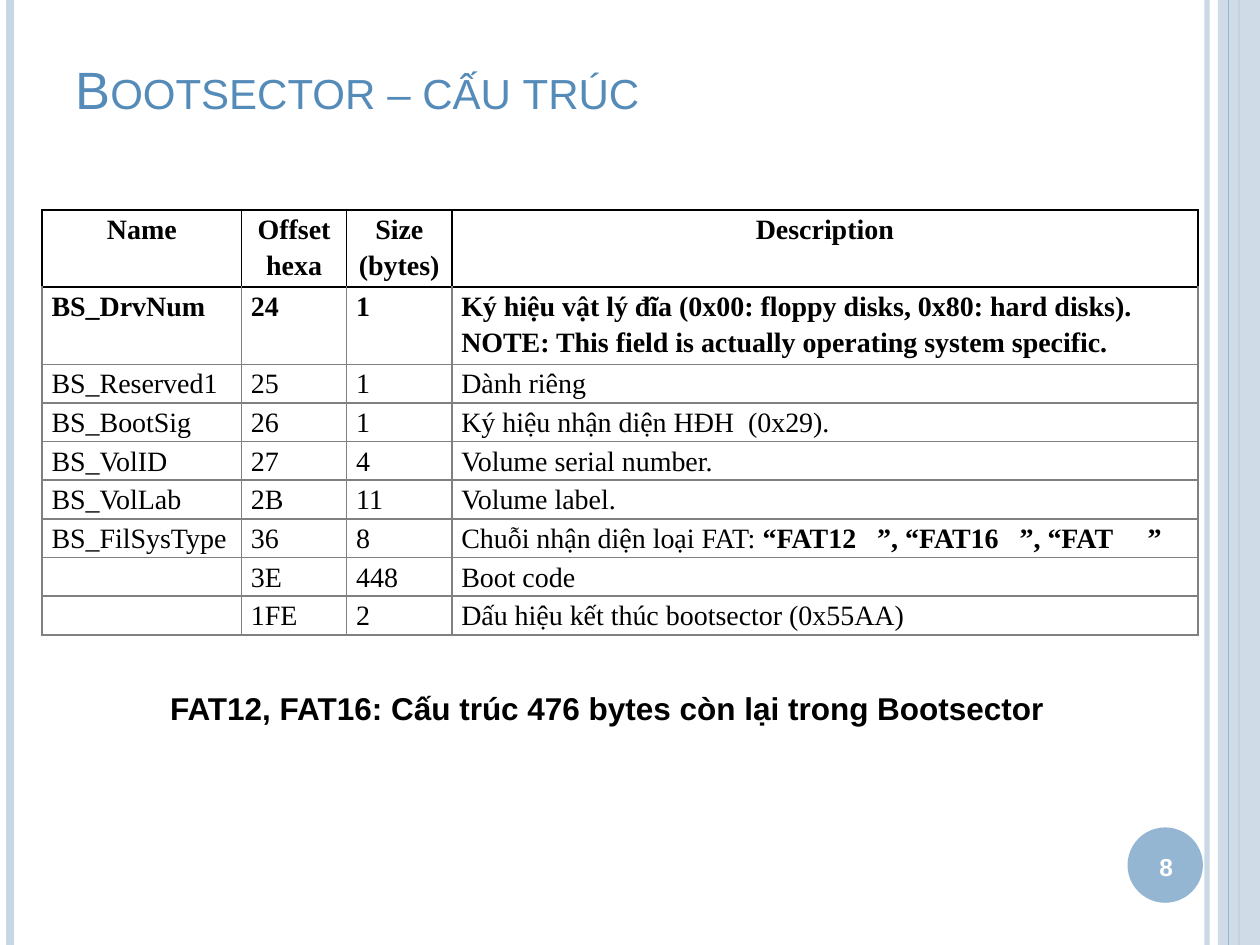
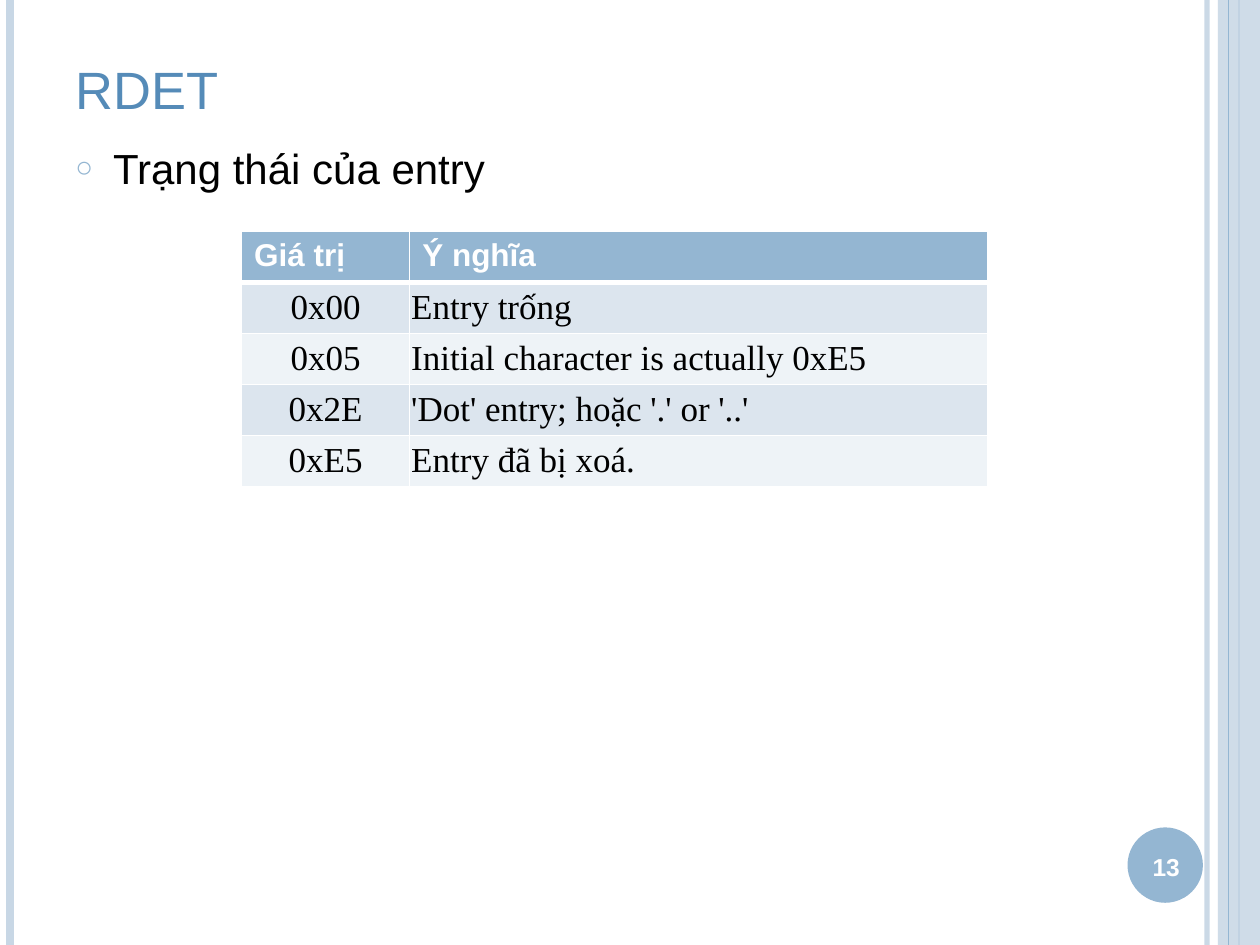
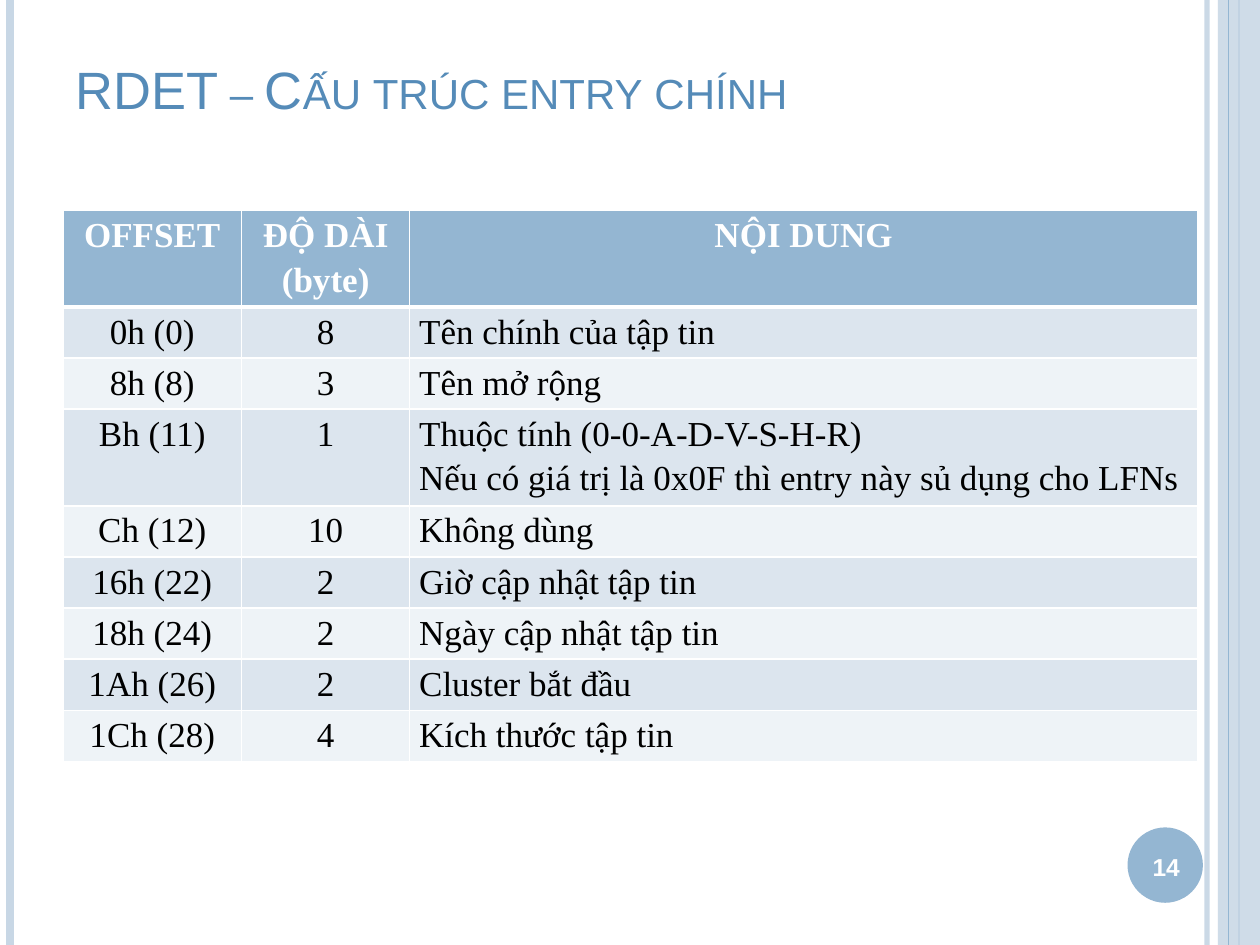
from lxml.etree import SubElement
from pptx import Presentation
from pptx.dml.color import RGBColor
from pptx.enum.shapes import MSO_CONNECTOR, MSO_SHAPE
from pptx.enum.text import MSO_ANCHOR, MSO_AUTO_SIZE, PP_ALIGN
from pptx.oxml import parse_xml
from pptx.oxml.ns import nsdecls, qn
from pptx.util import Cm, Pt

WIDE, HIGH = 25.4, 19.05
HUES = {
    "pale": "C8D7E5", "blue": "94B6D2", "title": "558BB8", "black": "000000",
    "white": "FFFFFF", "grey": "808080", "odd": "DCE5EE", "even": "EEF3F7",
}
LEFT, MID = PP_ALIGN.LEFT, PP_ALIGN.CENTER
SANS, SERIF = "Arial", "Times New Roman"
TIGHT = {"margin_left": Cm(0.19), "margin_right": Cm(0.19), "margin_top": 0, "margin_bottom": 0}
THIN = {"margin_left": Cm(0.03), "margin_right": Cm(0.03), "margin_top": Cm(0.03),
        "margin_bottom": Cm(0.03), "vertical_anchor": MSO_ANCHOR.MIDDLE}

BOOT = [
    ["Name", "Offset\nhexa", "Size (bytes)", "Description"],
    ["*BS_DrvNum*", "*24*", "*1*",
     "*Ký hiệu vật lý đĩa (0x00: floppy disks, 0x80: hard disks). \v"
     "NOTE: This field is actually operating system specific.*"],
    ["BS_Reserved1", "25", "1", "Dành riêng"],
    ["BS_BootSig", "26", "1", "Ký hiệu nhận diện HĐH  (0x29)."],
    ["BS_VolID", "27", "4", "Volume serial number."],
    ["BS_VolLab", "2B", "11", "Volume label."],
    ["BS_FilSysType", "36", "8",
     "Chuỗi nhận diện loại FAT: *“FAT12   ”, “FAT16   ”, “FAT     ”*"],
    ["", "3E", "448", "Boot code"],
    ["", "1FE", "2", "Dấu hiệu kết thúc bootsector (0x55AA)"],
]
STATE = [
    ["Giá trị", "Ý nghĩa"],
    ["0x00", "Entry trống"],
    ["0x05", "Initial character is actually 0xE5"],
    ["0x2E", "'Dot' entry; hoặc '.' or '..'"],
    ["0xE5", "Entry đã bị xoá."],
]
ENTRY = [
    ["OFFSET", "ĐỘ DÀI\n(byte)", "NỘI DUNG"],
    ["0h (0)", "8", "Tên chính của tập tin"],
    ["8h (8)", "3", "Tên mở rộng"],
    ["Bh (11)", "1", "Thuộc tính (0-0-A-D-V-S-H-R)\n"
     "Nếu có giá trị là 0x0F thì entry này sủ dụng cho LFNs"],
    ["Ch (12)", "10", "Không dùng"],
    ["16h (22)", "2", "Giờ cập nhật tập tin"],
    ["18h (24)", "2", "Ngày cập nhật tập tin"],
    ["1Ah (26)", "2", "Cluster bắt đầu"],
    ["1Ch (28)", "4", "Kích thước tập tin"],
]


def rgb(hue):
    return RGBColor.from_string(HUES[hue])


def put(thing, vals):
    for key, val in vals.items():
        setattr(thing, key, val)


def fade(fill, share):
    tint = fill._xPr.find(".//" + qn("a:srgbClr"))
    SubElement(tint, qn("a:alpha"), val=str(share * 1000))


def write(frame, text, font, hue, para):
    for num, line in enumerate(text.split("\n")):
        part = frame.add_paragraph() if num else frame.paragraphs[0]
        put(part, para)
        for spot, span in enumerate(line.split("*")):
            for turn, words in enumerate(span.split("\v")):
                if turn:
                    part.add_line_break()
                if words:
                    run = part.add_run()
                    run.text = words
                    put(run.font, font)
                    run.font.color.rgb = rgb(hue)
                    if spot % 2:
                        run.font.bold = True
        if not line:
            SubElement(part._p, qn("a:endParaRPr"), sz=str(int(font["size"].pt * 100)))


def label(slide, box, text, font, hue, para={}, form={}):
    frame = slide.shapes.add_textbox(*map(Cm, box)).text_frame
    put(frame, {"word_wrap": True, **form})
    write(frame, text, font, hue, para)
    return frame.paragraphs[0]


def stripe(slide, left, hue, width, share=100):
    line = slide.shapes.add_connector(MSO_CONNECTOR.STRAIGHT, Cm(left), 0, Cm(left), Cm(HIGH))
    line.line.width = Pt(width)
    line.line.fill.solid()
    line.line.color.rgb = rgb(hue)
    if share < 100:
        fade(line.line.fill, share)
    SubElement(line._element.spPr, qn("a:effectLst"))


def block(slide, kind, box, hue, share=100):
    form = slide.shapes.add_shape(kind, *map(Cm, box))
    form.shadow.inherit = False
    form.fill.solid()
    form.fill.fore_color.rgb = rgb(hue)
    form.line.fill.background()
    if share < 100:
        fade(form.fill, share)


def page(deck, title, num):
    slide = deck.slides.add_slide(deck.slide_layouts[6])
    stripe(slide, 24.33, "pale", 3, 93)
    stripe(slide, 0.21, "pale", 4.5)
    stripe(slide, 24.98, "blue", 1.5)
    block(slide, MSO_SHAPE.RECTANGLE, (24.55, 0, WIDE - 24.55, HIGH), "pale", 87)
    stripe(slide, 24.77, "blue", 0.75)
    block(slide, MSO_SHAPE.OVAL, (22.73, 16.68, 1.52, 1.52), "blue")
    head = label(slide, (1.27, 0.76, 21.39, 1.78), title, {"name": SANS, "size": Pt(30)},
                 "title", form={"vertical_anchor": MSO_ANCHOR.BOTTOM})
    head.runs[0].font._element.set("cap", "small")
    label(slide, (22.66, 16.74, 1.7, 1.45), str(num),
          {"name": SANS, "size": Pt(14), "bold": True}, "white",
          {"alignment": MID}, {"vertical_anchor": MSO_ANCHOR.MIDDLE})
    return slide


def bullet(slide, box, text):
    part = label(slide, box, text, {"name": SANS, "size": Pt(24)}, "black",
                 {"space_before": Pt(6)})
    props = part._p.get_or_add_pPr()
    put(props, {"marL": Cm(0.76), "indent": -Cm(0.76)}) if hasattr(props, "marL") else None
    props.set("marL", str(Cm(0.76)))
    props.set("indent", str(-Cm(0.76)))
    tint = SubElement(props, qn("a:buClr"))
    SubElement(tint, qn("a:srgbClr"), val=HUES["blue"])
    SubElement(props, qn("a:buSzPct"), val="70000")
    SubElement(props, qn("a:buFont"), typeface=SANS)
    SubElement(props, qn("a:buChar"), char="○")


def edge(cell, sides):
    props = cell._tc.get_or_add_tcPr()
    for num, side in enumerate("LRTB"):
        hue, width = sides.get(side, sides["all"])
        props.insert(num, parse_xml(
            f'<a:ln{side} {nsdecls("a")} w="{Pt(width)}"><a:solidFill>'
            f'<a:srgbClr val="{HUES[hue]}"/></a:solidFill></a:ln{side}>'))


def grid(slide, spot, cols, high, data, looks):
    left, top = map(Cm, spot)
    table = slide.shapes.add_table(len(data), len(cols), left, top,
                                   Cm(sum(cols)), Cm(high * len(data))).table
    put(table, {"first_row": False, "horz_banding": False})
    for col, width in zip(table.columns, cols):
        col.width = Cm(width)
    for num, texts in enumerate(data):
        table.rows[num].height = Cm(high)
        look = looks[min(num, len(looks) - 1)]
        for place, text in enumerate(texts):
            cell = table.cell(num, place)
            put(cell, look["cell"])
            if look["fills"]:
                cell.fill.solid()
                cell.fill.fore_color.rgb = rgb(look["fills"][num % len(look["fills"])])
            else:
                cell.fill.background()
            edge(cell, look["sides"])
            write(cell.text_frame, text, look["font"], look["hue"],
                  {**look["para"], "alignment": look["align"][place]})


def style(font, size, bold, hue, cell, align, sides, fills=(), lead=None):
    return {"font": {"name": font, "size": Pt(size), "bold": bold}, "hue": hue,
            "cell": cell, "align": align, "sides": sides, "fills": fills,
            "para": {"line_spacing": lead} if lead else {}}


def main():
    deck = Presentation()
    put(deck, {"slide_width": Cm(WIDE), "slide_height": Cm(HIGH)})
    dark, grey, white = ({"all": (hue, 1)} for hue in ("black", "grey", "white"))
    under = {**white, "B": ("white", 3)}
    bands = ("even", "odd")

    slide = page(deck, "Bootsector – cấu trúc", 8)
    grid(slide, (0.85, 4.23), (4.02, 2.12, 2.12, 15.04), 0.1, BOOT, [
        style(SERIF, 16, True, "black", TIGHT, [MID] * 4, dark, lead=1.15),
        style(SERIF, 16, False, "black", TIGHT, [LEFT] * 4,
              {**grey, "T": ("black", 1)}, lead=1.15),
        style(SERIF, 16, False, "black", TIGHT, [LEFT] * 4, grey, lead=1.15)])
    label(slide, (3.18, 13.77, 18.29, 1.02),
          "FAT12, FAT16: Cấu trúc 476 bytes còn lại trong Bootsector",
          {"name": SANS, "size": Pt(18), "bold": True}, "black",
          form={"word_wrap": False, "auto_size": MSO_AUTO_SIZE.SHAPE_TO_FIT_TEXT})

    slide = page(deck, "RDET", 13)
    bullet(slide, (1.27, 2.75, 21.39, 15.24), "Trạng thái của entry")
    grid(slide, (4.87, 4.66), (3.39, 11.65), 1.03, STATE, [
        style(SANS, 18, True, "white", {}, [LEFT] * 2, under, ["blue"]),
        style(SERIF, 20, False, "black", THIN, [MID, LEFT], {**white, "T": ("white", 3)}, bands),
        style(SERIF, 20, False, "black", THIN, [MID, LEFT], white, bands)])

    slide = page(deck, "RDET – Cấu trúc entry chính", 14)
    grid(slide, (1.27, 4.24), (3.6, 3.39, 15.88), 1.03, ENTRY, [
        style(SERIF, 20, True, "white", TIGHT, [MID] * 3, under, ["blue"], 1.15),
        style(SERIF, 20, False, "black", TIGHT, [MID, MID, LEFT],
              {**white, "T": ("white", 3)}, bands, 1.15),
        style(SERIF, 20, False, "black", TIGHT, [MID, MID, LEFT], white, bands, 1.15)])

    deck.save("out.pptx")


if __name__ == "__main__":
    main()
